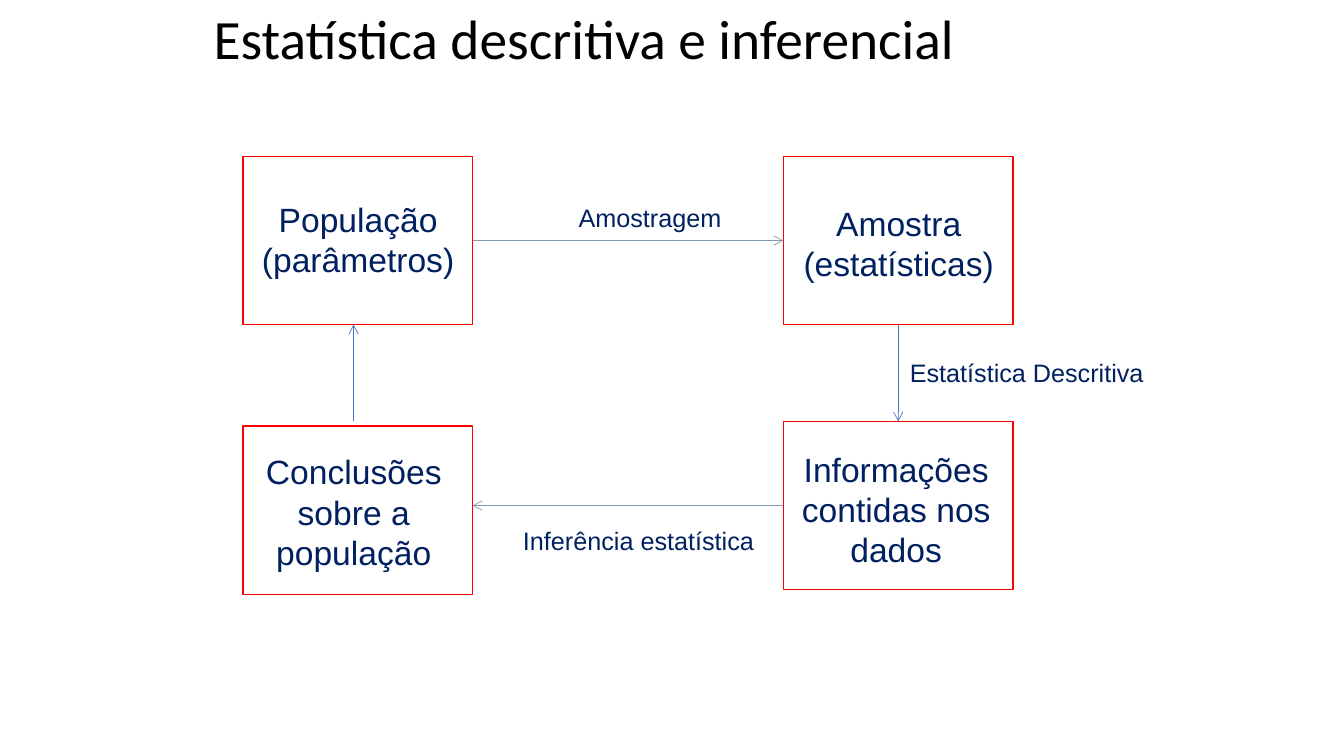
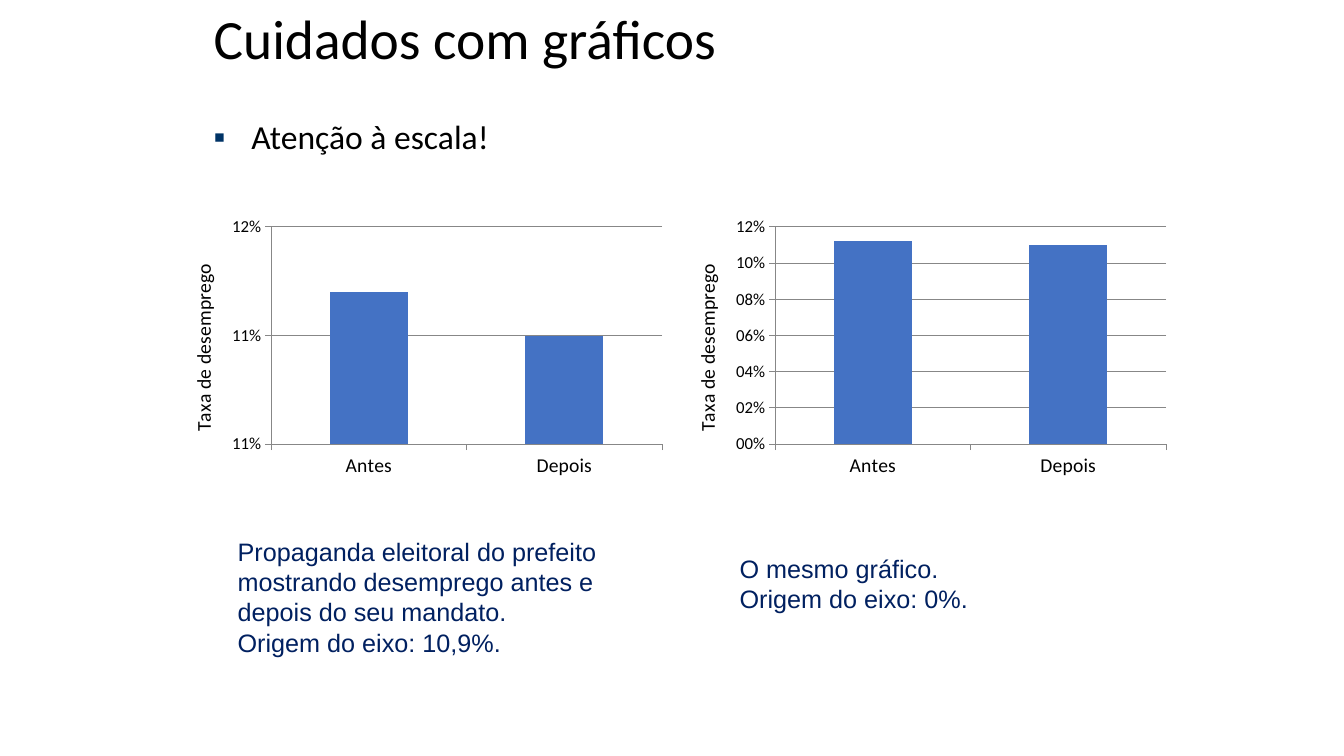
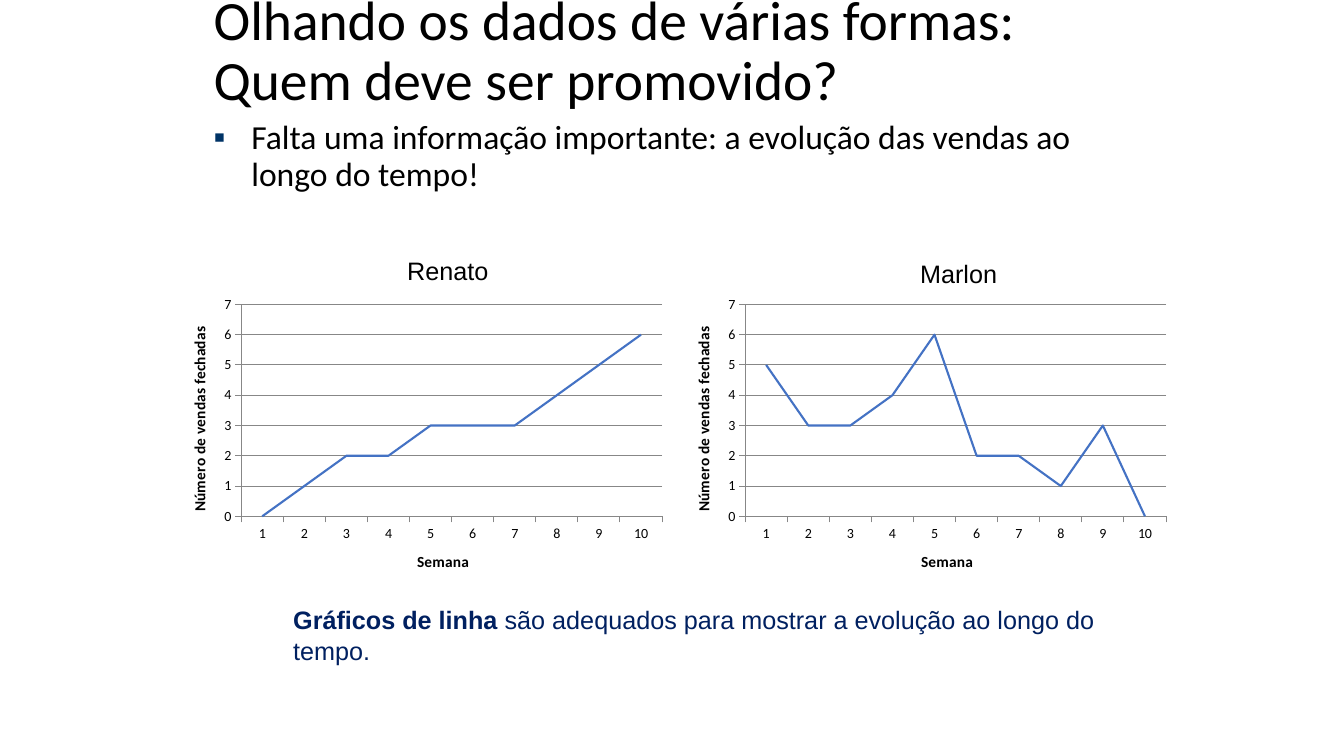
import pptx
import pptx.chart.data
import pptx.dml.color
import pptx.enum.chart
import pptx.enum.shapes
import pptx.enum.text
import pptx.oxml
import pptx.oxml.ns
import pptx.util

Cm = pptx.util.Cm
Pt = pptx.util.Pt
qn = pptx.oxml.ns.qn

COLORS = {
    "text": "000000",
    "navy": "002060",
    "bullet": "003366",
    "outline": "FF0000",
    "flow": "8497B0",
    "blue": "4472C4",
    "grid": "878787",
}
TITLE_SIZE = 39.6
TITLE_BOX = (5.13, 0.33, 20.02, 1.42)
BODY_BOX = (5.13, 2.92, 23.6, 14.6)
CHART_LEFT = 4.24
CHART_WIDTH = 12.7
LEFT, CENTER = pptx.enum.text.PP_ALIGN.LEFT, pptx.enum.text.PP_ALIGN.CENTER


def color(name):
    return pptx.dml.color.RGBColor.from_string(COLORS[name])


def lengths(box):
    return [Cm(value) for value in box]


def shifted(box, left, top, width, height):
    return box[0] + left, box[1] + top, width, height


def write(text_frame, text, size=18, font="Arial", ink="navy", bold=False,
          align=None, spacing=None, bold_lead="", bullet=None):
    for number, content in enumerate(text.split("\n")):
        paragraph = text_frame.add_paragraph() if number else text_frame.paragraphs[0]
        if bullet:
            add_bullet(paragraph, bullet)
        if align is not None:
            paragraph.alignment = align
        if spacing:
            paragraph.line_spacing = spacing
            paragraph.space_before = Pt(0)
        pieces = [(bold_lead, True)] if bold_lead else []
        pieces += [(line, bold) for line in content.split("\v")]
        for index, (piece, is_bold) in enumerate(pieces):
            if index and not bold_lead:
                paragraph.add_line_break()
            run = paragraph.add_run()
            run.text = piece
            run.font.size = Pt(size)
            run.font.name = font
            run.font.bold = is_bold
            run.font.color.rgb = color(ink)


def add_bullet(paragraph, character):
    properties = paragraph._p.get_or_add_pPr()
    properties.set("marL", str(Cm(0.95)))
    properties.set("indent", str(-Cm(0.95)))
    namespace = pptx.oxml.ns.nsdecls("a")
    for markup in (
        f'<a:buClr {namespace}><a:srgbClr val="{COLORS["bullet"]}"/></a:buClr>',
        f'<a:buFont {namespace} typeface="Arial"/>',
        f'<a:buChar {namespace} char="{character}"/>',
    ):
        properties.append(pptx.oxml.parse_xml(markup))


def add_text(slide, box, text, wrap=True, **text_format):
    shape = slide.shapes.add_textbox(*lengths(box))
    shape.text_frame.word_wrap = wrap
    write(shape.text_frame, text, **text_format)


def fill_placeholder(shape, box, text, anchor, **text_format):
    shape.left, shape.top, shape.width, shape.height = lengths(box)
    shape.text_frame.auto_size = pptx.enum.text.MSO_AUTO_SIZE.NONE
    shape.text_frame.vertical_anchor = anchor
    write(shape.text_frame, text, font="Calibri", ink="text", align=LEFT,
          spacing=0.9, **text_format)


def set_title_style(presentation):
    for style in presentation.slide_master.element.iter(qn("p:titleStyle")):
        for properties in style.iter(qn("a:defRPr")):
            properties.set("sz", str(round(TITLE_SIZE * 100)))


def add_slide(presentation, title, body=None, title_box=TITLE_BOX):
    slide = presentation.slides.add_slide(presentation.slide_layouts[1 if body else 5])
    anchors = pptx.enum.text.MSO_ANCHOR
    fill_placeholder(slide.shapes.title, title_box, title, anchors.MIDDLE, size=TITLE_SIZE)
    if body:
        fill_placeholder(slide.placeholders[1], BODY_BOX, body, anchors.TOP,
                         size=24, bullet="▪")
    return slide


def add_stage(slide, box, text, label):
    shape = slide.shapes.add_shape(pptx.enum.shapes.MSO_SHAPE.RECTANGLE, *lengths(box))
    shape.shadow.inherit = False
    shape.fill.background()
    shape.line.color.rgb = color("outline")
    shape.line.width = Pt(1)
    add_text(slide, shifted(box, *label), text, wrap="\n" not in text,
             size=24, align=CENTER)
    return shape


def add_arrow(slide, start, end, ink, source=None, target=None):
    connector = slide.shapes.add_connector(
        pptx.enum.shapes.MSO_CONNECTOR.STRAIGHT, *lengths(start + end))
    if source:
        connector.begin_connect(*source)
    if target:
        connector.end_connect(*target)
    connector.line.color.rgb = color(ink)
    connector.line.width = Pt(0.5)
    properties = connector._element.spPr
    namespace = pptx.oxml.ns.nsdecls("a")
    properties.find(qn("a:ln")).append(
        pptx.oxml.parse_xml(f'<a:tailEnd {namespace} type="arrow"/>'))
    properties.append(pptx.oxml.parse_xml(f"<a:effectLst {namespace}/>"))


def add_cycle(slide, box):
    left, top, width, height = box
    stage_width, stage_height = 5.79, 4.24
    right = left + width - stage_width
    bottom = top + height - stage_height
    lower_right = bottom - 0.12
    stage_size = (stage_width, stage_height)

    population = add_stage(slide, (left, top) + stage_size, "População\n(parâmetros)",
                           (0.2, 0.94, 5.41, 2.31))
    sample = add_stage(slide, (right, top) + stage_size, "Amostra\n(estatísticas)",
                       (0.23, 1.04, 5.36, 2.31))
    add_stage(slide, (left, bottom) + stage_size, "Conclusões sobre a população",
              (0, 0.51, 5.59, 3.33))
    information = add_stage(slide, (right, lower_right) + stage_size,
                            "Informações contidas nos dados", (-0.51, 0.56, 6.71, 3.33))

    inner_left = left + stage_width
    upper_middle = top + stage_height / 2
    lower_middle = lower_right + stage_height / 2
    right_middle = right + stage_width / 2
    upward = left + 2.79
    stage_end = top + stage_height
    add_arrow(slide, (inner_left, upper_middle), (right, upper_middle), "flow",
              (population, 3), (sample, 1))
    add_arrow(slide, (right, lower_middle), (inner_left, lower_middle), "flow",
              (information, 1))
    add_arrow(slide, (right_middle, stage_end), (right_middle, lower_right), "blue",
              (sample, 2), (information, 0))
    add_arrow(slide, (upward, lower_right), (upward, stage_end), "blue")

    for text, label in (
        ("Amostragem", (8.21, 1.04, 4.14, 1.02)),
        ("Estatística Descritiva", (16.56, 4.95, 6.45, 1.02)),
        ("Inferência estatística", (6.81, 9.17, 6.4, 1.02)),
    ):
        add_text(slide, shifted(box, *label), text, wrap=False)


def style_axis(axis, size, title=None, title_size=11, title_bold=False):
    axis.tick_labels.font.size = Pt(size)
    axis.format.line.color.rgb = color("grid")
    axis.major_tick_mark = pptx.enum.chart.XL_TICK_MARK.OUTSIDE
    axis.has_title = bool(title)
    if title:
        write(axis.axis_title.text_frame, title, size=title_size, font="Calibri",
              ink="text", bold=title_bold)


def add_chart(slide, box, kind, categories, values, scale, value_title,
              category_title=None, title_size=11, title_bold=False,
              category_size=10, value_size=10, number_format="General"):
    data = pptx.chart.data.CategoryChartData()
    data.categories = categories
    data.add_series("Series 1", values)
    chart = slide.shapes.add_chart(kind, *lengths(box), data).chart
    chart.has_legend = False
    chart.has_title = False
    chart.font.name = "Calibri"
    chart.font.size = Pt(10)
    chart.font.color.rgb = color("text")

    style_axis(chart.category_axis, category_size, category_title, title_size, title_bold)
    axis = chart.value_axis
    style_axis(axis, value_size, value_title, title_size, title_bold)
    rotation = axis.axis_title.text_frame._txBody.bodyPr
    rotation.set("rot", "-5400000")
    rotation.set("vert", "horz")
    axis.minimum_scale, axis.maximum_scale, axis.major_unit = scale
    axis.tick_labels.number_format = number_format
    axis.tick_labels.number_format_is_linked = False
    axis.has_major_gridlines = True
    axis.major_gridlines.format.line.color.rgb = color("grid")

    plot = chart.plots[0]
    plot.vary_by_categories = False
    series = plot.series[0]
    if kind == pptx.enum.chart.XL_CHART_TYPE.LINE:
        series.smooth = False
        series.marker.style = pptx.enum.chart.XL_MARKER_STYLE.NONE
        series.format.line.color.rgb = color("blue")
        series.format.line.width = Pt(1.5)
    else:
        plot.gap_width = 150
        series.format.fill.solid()
        series.format.fill.fore_color.rgb = color("blue")


def add_unemployment(slide, box, scale, caption, caption_place):
    add_chart(slide, box, pptx.enum.chart.XL_CHART_TYPE.COLUMN_CLUSTERED,
              ["Antes", "Depois"], [0.112, 0.11], scale, "Taxa de desemprego",
              title_size=14, category_size=14, value_size=12, number_format="#,#00%")
    add_text(slide, shifted(box, *caption_place), caption)


def add_sales(slide, box, name, name_place, values):
    add_chart(slide, box, pptx.enum.chart.XL_CHART_TYPE.LINE,
              [str(week) for week in range(1, 11)], values, (0, 7, 1),
              "Número de vendas fechadas", "Semana", title_bold=True)
    add_text(slide, shifted(box, *name_place), name, wrap=False, ink="text")


def chart_box(column, top, height):
    return CHART_LEFT + column * CHART_WIDTH, top, CHART_WIDTH, height


def build_inference(presentation):
    slide = add_slide(presentation, "Estatística descritiva e inferencial")
    add_cycle(slide, (6.12, 3.94, 19.41, 11.04))


def build_scale_warning(presentation):
    slide = add_slide(presentation, "Cuidados com gráficos", "Atenção à escala!")
    panels = (
        ((0.105, 0.115, 0.005),
         "Propaganda eleitoral do prefeito mostrando desemprego antes e depois do seu mandato.\n"
         "Origem do eixo: 10,9%.", (1.5, 8.06, 11.2, 3.33)),
        ((0, 0.12, 0.02), "O mesmo gráfico.\nOrigem do eixo: 0%.", (1.45, 8.49, 11.2, 1.8)),
    )
    for column, panel in enumerate(panels):
        add_unemployment(slide, chart_box(column, 5.33, 6.86), *panel)


def build_promotion(presentation):
    slide = add_slide(
        presentation, "Olhando os dados de várias formas:\vQuem deve ser promovido?",
        "Falta uma informação importante: a evolução das vendas ao longo do tempo!",
        (5.13, 0.33, 27.76, 1.98))
    sellers = (
        ("Renato", (5.77, -1, 2.59, 1.02), [0, 1, 2, 2, 3, 3, 3, 4, 5, 6]),
        ("Marlon", (6, -0.94, 2.46, 1.02), [5, 3, 3, 4, 6, 2, 2, 1, 3, 0]),
    )
    for column, seller in enumerate(sellers):
        add_sales(slide, chart_box(column, 7.32, 7.62), *seller)
    add_text(slide, (7.14, 15.11, 20.7, 1.8),
             "são adequados para mostrar a evolução ao longo do tempo.",
             bold_lead="Gráficos de linha ")


def main():
    presentation = pptx.Presentation()
    presentation.slide_width, presentation.slide_height = Cm(33.87), Cm(19.05)
    set_title_style(presentation)
    build_inference(presentation)
    build_scale_warning(presentation)
    build_promotion(presentation)
    presentation.save("out.pptx")


if __name__ == "__main__":
    main()
